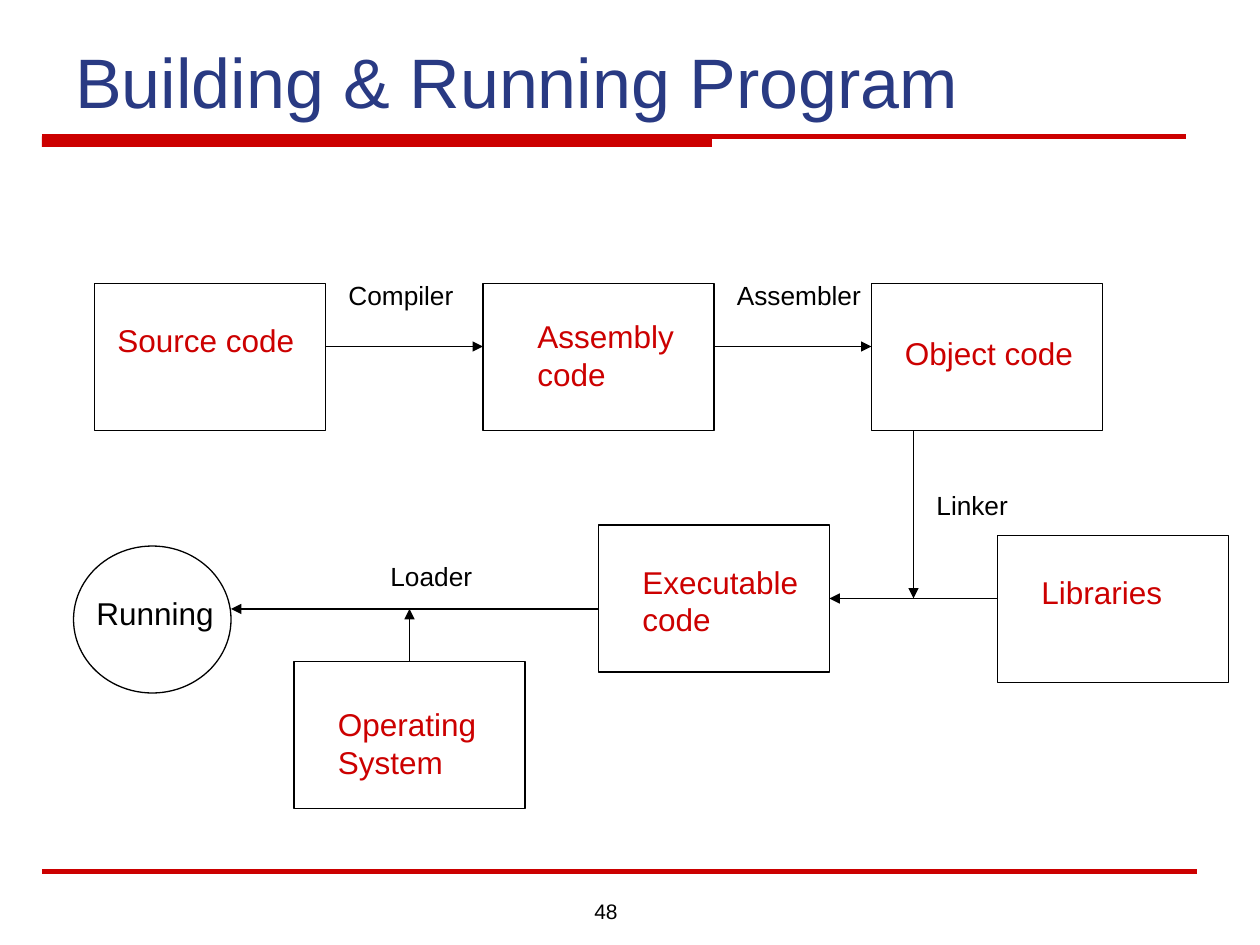
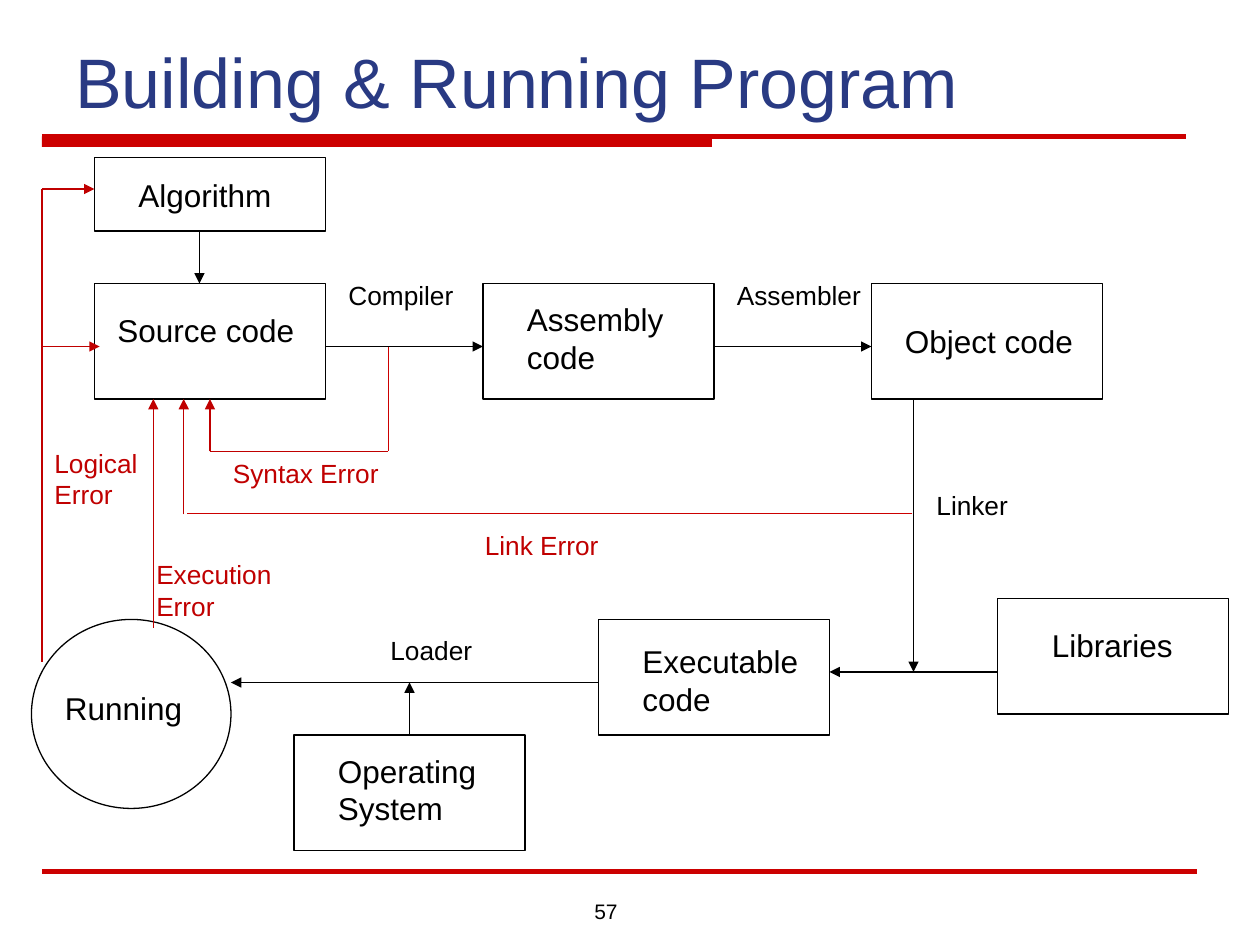
"""Build two slides that show how a program is built and run."""
from dataclasses import dataclass

import pptx
import pptx.dml.color
import pptx.enum.shapes
import pptx.enum.text
import pptx.oxml
import pptx.oxml.ns
import pptx.util

COLUMNS, ROWS = 120, 90
FONT = "Arial"
BLACK, RED, DARK_RED, NAVY = "000000", "CC0000", "C00000", "293A83"
STEP_SIZE, CAPTION_SIZE = 18, 15
THIN, THICK = 0.74, 3
STEP_WIDTH = 22
RECTANGLE = pptx.enum.shapes.MSO_SHAPE.RECTANGLE
OVAL = pptx.enum.shapes.MSO_SHAPE.OVAL

presentation = pptx.Presentation()
presentation.slide_width = pptx.util.Inches(10)
presentation.slide_height = pptx.util.Inches(7.5)


@dataclass
class Outline:
    """An unfilled box or oval, in grid columns and rows."""
    left: float
    top: float
    height: float
    width: float = STEP_WIDTH
    kind: pptx.enum.shapes.MSO_SHAPE = RECTANGLE


@dataclass
class Label:
    """Text that wraps to a number of lines."""
    text: str
    left: float
    top: float
    width: float
    lines: int = 1
    size: float = STEP_SIZE
    color: str = BLACK


@dataclass
class Line:
    """A straight line, with an arrowhead at its end if wanted."""
    start: tuple[float, float]
    end: tuple[float, float]
    color: str = BLACK
    arrow: bool = True
    weight: float = THIN


@dataclass
class Diagram:
    """The parts that differ from slide to slide."""
    number: int
    outlines: list[Outline]
    labels: list[Label]
    lines: list[Line]


def rgb(color: str) -> pptx.dml.color.RGBColor:
    """Turn a hex string into a colour."""
    return pptx.dml.color.RGBColor.from_string(color)


def across(columns: float) -> int:
    """Turn grid columns into a length."""
    return round(presentation.slide_width * columns / COLUMNS)


def down(rows: float) -> int:
    """Turn grid rows into a length."""
    return round(presentation.slide_height * rows / ROWS)


def add_outline(slide: pptx.slide.Slide, outline: Outline) -> None:
    """Draw an unfilled shape with a thin black edge."""
    shape = slide.shapes.add_shape(outline.kind, across(outline.left), down(outline.top),
                                   across(outline.width), down(outline.height))
    shape.shadow.inherit = False
    shape.fill.background()
    shape.line.color.rgb = rgb(BLACK)
    shape.line.width = pptx.util.Pt(THIN)


def add_line(slide: pptx.slide.Slide, line: Line) -> None:
    """Draw a line or an arrow."""
    connector = slide.shapes.add_connector(
        pptx.enum.shapes.MSO_CONNECTOR.STRAIGHT,
        across(line.start[0]), down(line.start[1]), across(line.end[0]), down(line.end[1]))
    connector.line.color.rgb = rgb(line.color)
    connector.line.width = pptx.util.Pt(line.weight)
    properties = connector._element.spPr
    if line.arrow:
        tail = pptx.oxml.parse_xml(f'<a:tailEnd {pptx.oxml.ns.nsdecls("a")} type="triangle"/>')
        properties.find(pptx.oxml.ns.qn("a:ln")).append(tail)
    properties.append(pptx.oxml.parse_xml(f'<a:effectLst {pptx.oxml.ns.nsdecls("a")}/>'))


def add_text(slide: pptx.slide.Slide, label: Label, height: float) -> pptx.shapes.autoshape.Shape:
    """Write one wrapped paragraph."""
    shape = slide.shapes.add_textbox(across(label.left), down(label.top),
                                     across(label.width), down(height))
    shape.text_frame.word_wrap = True
    paragraph = shape.text_frame.paragraphs[0]
    paragraph.text = label.text
    paragraph.font.name = FONT
    paragraph.font.size = pptx.util.Pt(label.size)
    paragraph.font.color.rgb = rgb(label.color)
    return shape


def add_frame(slide: pptx.slide.Slide, number: int) -> None:
    """Draw the title, the red bands and the slide number."""
    band = slide.shapes.add_shape(RECTANGLE, across(4), down(13), across(63.8), down(1))
    band.shadow.inherit = False
    band.fill.solid()
    band.fill.fore_color.rgb = rgb(RED)
    band.line.fill.background()
    add_line(slide, Line((4, 13), (113, 13), RED, False, THICK))
    add_line(slide, Line((4, 83), (114, 83), RED, False, THICK))
    title = add_text(slide, Label("Building & Running Program", 6, 2, 108, size=40, color=NAVY), 10.3)
    title.text_frame.vertical_anchor = pptx.enum.text.MSO_ANCHOR.BOTTOM
    footer = add_text(slide, Label(str(number), 52, 85, 8, size=12), 3.2)
    footer.text_frame.paragraphs[0].alignment = pptx.enum.text.PP_ALIGN.RIGHT


def caption(text: str, left: float, top: float, width: float = 15,
            lines: int = 1, color: str = BLACK) -> Label:
    """Describe a small label beside an arrow."""
    return Label(text, left, top, width, lines, CAPTION_SIZE, color)


def steps(height: float, executable: float, system: float, libraries: float) -> list[Outline]:
    """Describe the six boxes, the first three in one row."""
    tops = {9: 27, 46: 27, 83: 27, 57: executable, 28: system, 95: libraries}
    return [Outline(left, top, height) for left, top in tops.items()]


def add_diagram(diagram: Diagram) -> None:
    """Draw one whole slide."""
    slide = presentation.slides.add_slide(presentation.slide_layouts[6])
    add_frame(slide, diagram.number)
    for outline in diagram.outlines:
        add_outline(slide, outline)
    for line in SHARED_LINES + diagram.lines:
        add_line(slide, line)
    for label in SHARED_CAPTIONS + diagram.labels:
        shape = add_text(slide, label, label.lines * label.size / 5 + 1.2)
        shape.text_frame.auto_size = pptx.enum.text.MSO_AUTO_SIZE.SHAPE_TO_FIT_TEXT


SHARED_CAPTIONS = [
    caption("Compiler", 32, 26),
    caption("Assembler", 69, 26),
    caption("Linker", 88, 46),
]
SHARED_LINES = [Line((31, 33), (46, 33)), Line((68, 33), (83, 33))]

BUILD = Diagram(
    number=48,
    outlines=steps(14, 50, 63, 51) + [Outline(7, 52, 14, 15, OVAL)],
    labels=[
        Label("Source code", 10, 30, 23, color=RED),
        Label("Assembly code", 50, 29.6, 20, 2, color=RED),
        Label("Object code", 85, 31.2, 20, color=RED),
        Label("Libraries", 98, 54, 20, color=RED),
        Label("Executable code", 60, 53, 20, 2, color=RED),
        Label("Operating System", 31, 66.6, 20, 2, color=RED),
        Label("Running", 8, 56, 14),
        caption("Loader", 36, 52.8),
    ],
    lines=[
        Line((87, 41), (87, 57)),
        Line((95, 57), (79, 57)),
        Line((57, 58), (22, 58)),
        Line((39, 63), (39, 58)),
    ],
)

ERRORS = Diagram(
    number=57,
    outlines=steps(11, 59, 70, 57) + [Outline(9, 15, 7), Outline(3, 59, 18, 19, OVAL)],
    labels=[
        Label("Algorithm", 12, 16.2, 17),
        Label("Source code", 10, 29, 23),
        Label("Assembly code", 49, 28, 20, 2),
        Label("Object code", 85, 30.1, 20),
        Label("Libraries", 99, 59, 20),
        Label("Executable code", 60, 60.6, 20, 2),
        Label("Operating System", 31, 71, 20, 2),
        Label("Running", 5, 65, 14),
        caption("Loader", 36, 59.8),
        caption("Syntax Error", 21, 43, 17, color=DARK_RED),
        caption("Link Error", 45, 49.8, 17, color=DARK_RED),
        caption("Execution Error", 13.7, 52.6, 15, 2, DARK_RED),
        caption("Logical Error", 4, 42, 11, 2, DARK_RED),
    ],
    lines=[
        Line((19, 22), (19, 27)),
        Line((87, 38), (87, 64)),
        Line((95, 64), (79, 64)),
        Line((57, 65), (22, 65)),
        Line((39, 70), (39, 65)),
        Line((37, 33), (37, 43), RED, False),
        Line((20, 43), (37, 43), DARK_RED, False),
        Line((20, 43), (20, 38), DARK_RED),
        Line((86.9, 48.9), (17.8, 48.9), RED, False),
        Line((17.5, 49), (17.5, 38), DARK_RED),
        Line((14.6, 59.8), (14.6, 38), DARK_RED),
        Line((4, 63), (4, 18), DARK_RED, False),
        Line((4, 18), (9, 18), DARK_RED),
        Line((4, 33), (9.5, 33), DARK_RED),
    ],
)

for slide_diagram in (BUILD, ERRORS):
    add_diagram(slide_diagram)
presentation.save("out.pptx")
